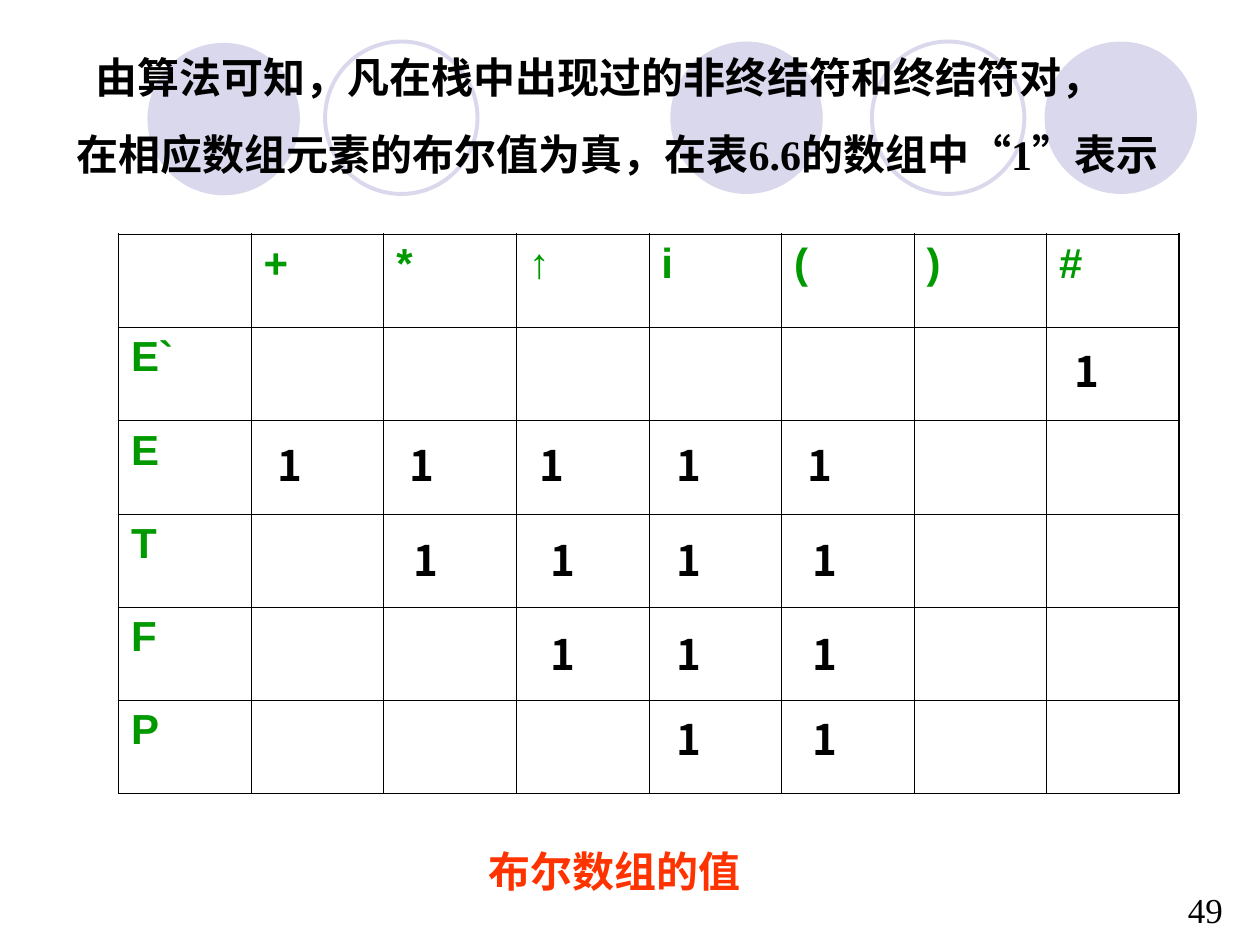
from typing import NamedTuple

from lxml.etree import SubElement
from pptx import Presentation
from pptx.dml.color import RGBColor
from pptx.enum.shapes import MSO_SHAPE
from pptx.enum.text import MSO_AUTO_SIZE
from pptx.oxml import parse_xml
from pptx.oxml.ns import nsdecls, qn
from pptx.util import Inches, Pt

BLACK = RGBColor(0x00, 0x00, 0x00)
GREEN = RGBColor(0x00, 0x99, 0x00)
ORANGE = RGBColor(0xFF, 0x33, 0x00)
LAVENDER = RGBColor(0xD9, 0xD8, 0xEC)
SERIF = "Times New Roman"
SANS = "Arial"
CHINESE = "Noto Sans CJK SC"

CIRCLE_SIZE = 1.21
OUTER_BORDER = 1.08
INNER_BORDER = 0.45
COLUMN_HEADS = ["", "+", "*", "↑", "i", "(", ")", "#"]
ROW_HEADS = ["", "E`", "E", "T", "F", "P"]


class Circle(NamedTuple):
    left: float
    top: float
    filled: bool


class MarkRow(NamedTuple):
    top: float
    lefts: list[float]


CIRCLES = [
    Circle(5.32, 0.33, True),
    Circle(8.29, 0.33, True),
    Circle(1.17, 0.34, True),
    Circle(6.92, 0.33, False),
    Circle(2.58, 0.33, False),
]
MARK_ROWS = [
    MarkRow(2.69, [8.43]),
    MarkRow(3.44, [2.1, 3.15, 4.18, 5.27, 6.31]),
    MarkRow(4.19, [3.18, 4.27, 5.27, 6.35]),
    MarkRow(4.94, [4.27, 5.27, 6.35]),
    MarkRow(5.61, [5.27, 6.35]),
]


def write_text(frame, text: str, *, font: str = SERIF, size: float = 24,
               color: RGBColor = BLACK, bold: bool = True, space: float = 0) -> None:
    for index, line in enumerate(text.split("\n")):
        paragraph = frame.add_paragraph() if index else frame.paragraphs[0]
        if index:
            paragraph.space_before = Pt(space)
        run = paragraph.add_run()
        run.text = line
        run.font.name = font
        run.font.size = Pt(size)
        run.font.bold = bold
        run.font.color.rgb = color
        SubElement(run.font._element, qn("a:ea")).set("typeface", CHINESE)


def add_text(slide, left: float, top: float, width: float, height: float,
             text: str, wrap: bool = True, **text_format) -> None:
    box = slide.shapes.add_textbox(Inches(left), Inches(top), Inches(width), Inches(height))
    box.text_frame.word_wrap = wrap
    box.text_frame.auto_size = MSO_AUTO_SIZE.SHAPE_TO_FIT_TEXT
    write_text(box.text_frame, text, **text_format)


def add_circle(slide, circle: Circle) -> None:
    shape = slide.shapes.add_shape(
        MSO_SHAPE.OVAL, Inches(circle.left), Inches(circle.top),
        Inches(CIRCLE_SIZE), Inches(CIRCLE_SIZE))
    shape.shadow.inherit = False
    if circle.filled:
        shape.fill.solid()
        shape.fill.fore_color.rgb = LAVENDER
        shape.line.fill.background()
    else:
        shape.fill.background()
        shape.line.color.rgb = LAVENDER
        shape.line.width = Pt(2.25)


def set_borders(cell, outer_sides: dict[str, bool]) -> None:
    properties = cell._tc.get_or_add_tcPr()
    for index, (side, outer) in enumerate(outer_sides.items()):
        width = Pt(OUTER_BORDER if outer else INNER_BORDER)
        properties.insert(index, parse_xml(
            f'<a:ln{side} {nsdecls("a")} w="{width}"><a:solidFill>'
            f'<a:srgbClr val="{BLACK}"/></a:solidFill></a:ln{side}>'))


def add_boolean_table(slide) -> None:
    row_count, column_count = len(ROW_HEADS), len(COLUMN_HEADS)
    table = slide.shapes.add_table(
        row_count, column_count, Inches(0.94), Inches(1.86), Inches(8.42), Inches(4.44)).table
    table.first_row = False
    table.horz_banding = False
    for row, row_head in enumerate(ROW_HEADS):
        for column, column_head in enumerate(COLUMN_HEADS):
            cell = table.cell(row, column)
            cell.fill.background()
            set_borders(cell, {
                "L": column == 0,
                "R": column == column_count - 1,
                "T": row == 0,
                "B": row == row_count - 1,
            })
            head = column_head if row == 0 else row_head if column == 0 else ""
            if head:
                write_text(cell.text_frame, head, font=SANS, color=GREEN)


def main() -> None:
    presentation = Presentation()
    presentation.slide_width = Inches(10)
    presentation.slide_height = Inches(7.5)
    slide = presentation.slides.add_slide(presentation.slide_layouts[6])

    for circle in CIRCLES:
        add_circle(slide, circle)
    add_text(slide, 9.33, 7, 0.67, 0.44, "49", size=20, bold=False)
    add_text(slide, 0.51, 0.36, 8.98, 1.51,
             "  由算法可知，凡在栈中出现过的非终结符和终结符对，\n"
             "在相应数组元素的布尔值为真，在表6.6的数组中“1”表示".replace("  ", "  "),
             space=15)
    add_boolean_table(slide)
    add_text(slide, 3.78, 6.66, 2.42, 0.5, "布尔数组的值", color=ORANGE)
    for mark_row in MARK_ROWS:
        for left in mark_row.lefts:
            add_text(slide, left, mark_row.top, 0.39, 0.5, "1", wrap=False, font=CHINESE)

    presentation.save("out.pptx")


if __name__ == "__main__":
    main()
